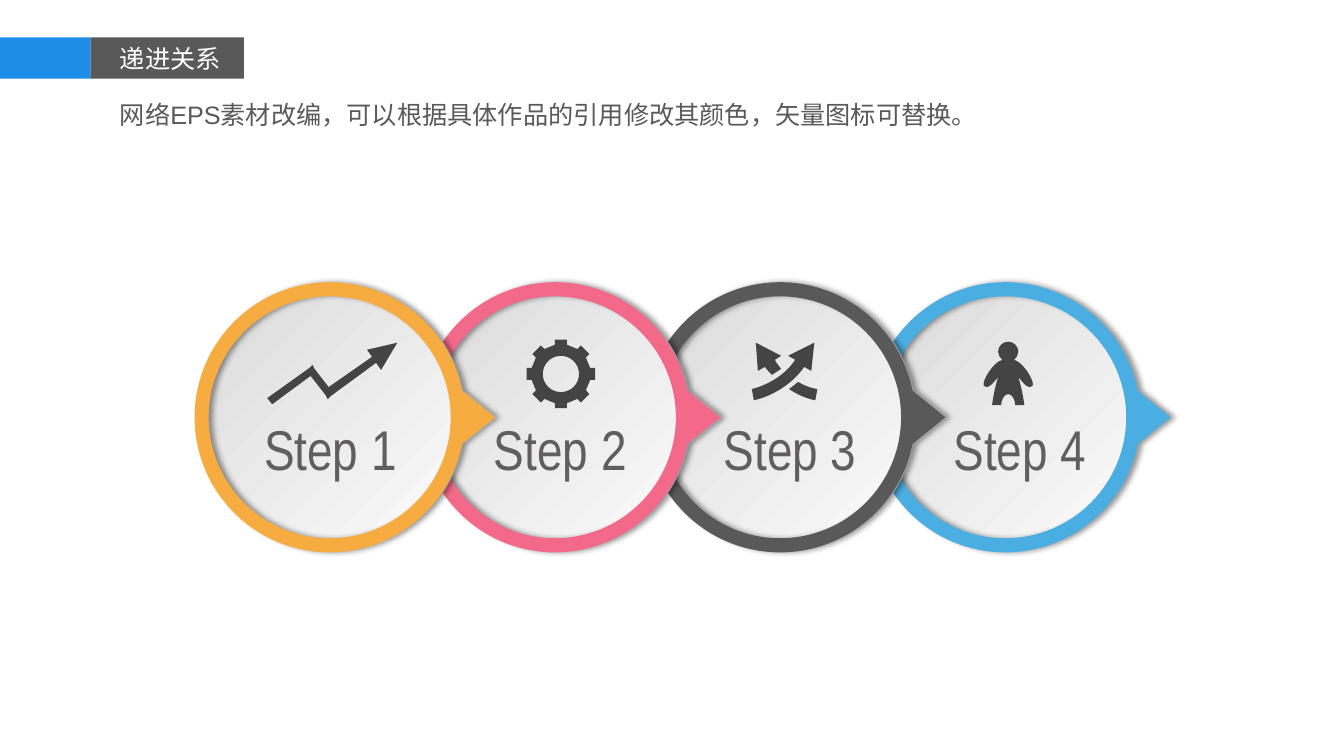
from math import cos, sin, tan, radians

from lxml import etree
from pptx import Presentation
from pptx.dml.color import RGBColor
from pptx.enum.shapes import MSO_SHAPE as Shape
from pptx.enum.text import MSO_ANCHOR as Anchor, MSO_AUTO_SIZE as Fit, PP_ALIGN as Align
from pptx.oxml.ns import qn
from pptx.util import Inches, Pt

WHITE = RGBColor(0xFF, 0xFF, 0xFF)
SILVER = RGBColor(0xD9, 0xD9, 0xDA)
BLUE = RGBColor(0x1D, 0x8D, 0xE5)
GREY = RGBColor(0x59, 0x59, 0x59)
LABEL = RGBColor(0x60, 0x5E, 0x5E)
DARK = RGBColor(0x44, 0x44, 0x44)
AMBER = RGBColor(0xF6, 0xAC, 0x40)
PINK = RGBColor(0xF3, 0x69, 0x8A)
SKY = RGBColor(0x4B, 0xAE, 0xE2)

TREND = [(129, 0), (99, 7), (104, 14), (61, 44), (47, 26), (45, 22), (42, 25), (0, 55),
         (5, 61), (43, 33), (58, 52), (60, 56), (63, 53), (108, 20), (113, 27)]
CROSS = [
    [(13, 24), (15, 27, 18, 30, 20, 32), (23, 30, 26, 28, 29, 26),
     (27, 23, 24, 20, 23, 17), (29, 13), (4, 0), (6, 28)],
    [(52, 24), (59, 28), (62, 0), (36, 13), (43, 17), (28, 40, 0, 46, 0, 46),
     (2, 57), (4, 57, 34, 50, 52, 24)],
    [(46, 39), (43, 41, 40, 44, 37, 46), (50, 55, 62, 57, 63, 57),
     (65, 46), (65, 46, 56, 45, 46, 39)],
]
HALF = [(0, 0), (5, 0, 10, 4, 10, 10), (10, 13, 8, 16, 6, 18), (16, 21, 27, 41, 24, 44),
        (20, 48, 15, 41, 10, 35), (13, 45, 15, 55, 16, 63), (7, 63), (7, 58, 4, 52, 0, 52)]


def pairs(move):
    """Split a flat move into its points."""
    return list(zip(move[::2], move[1::2]))


def arc(rad, start, end):
    """Return an arc about the origin as four cubic curves."""
    step = radians(end - start) / 4
    pull = 4 / 3 * tan(step / 4)
    moves = [(rad * cos(radians(start)), rad * sin(radians(start)))]
    for i in range(4):
        s = radians(start) + step * i
        e = s + step
        moves.append((rad * (cos(s) - pull * sin(s)), rad * (sin(s) + pull * cos(s)),
                      rad * (cos(e) + pull * sin(e)), rad * (sin(e) - pull * cos(e)),
                      rad * cos(e), rad * sin(e)))
    return moves


def shrink(moves):
    """Turn hundredths into inches."""
    return [tuple(n / 100 for n in move) for move in moves]


def gear():
    """Return the rim and the hole of an eight-toothed gear."""
    tooth = [(0.29, -0.06), (0.34, -0.06), (0.34, 0.06), (0.29, 0.06)]
    rim = [(x * cos(t) - y * sin(t), x * sin(t) + y * cos(t))
           for t in (radians(45 * i) for i in range(8)) for x, y in tooth]
    return [rim, arc(0.18, 360, 0)]


def person():
    """Return the outline of a figure mirrored about its middle."""
    back = []
    for last, move in reversed(list(zip(HALF, HALF[1:]))):
        spots = reversed(pairs(last[-2:] + move[:-2]))
        back.append(tuple(n for x, y in spots for n in (-x, y)))
    return [shrink(HALF + back)]


def bend(form, loops):
    """Join each three lines that stand for a cubic curve."""
    lines = iter(form.element.findall(".//" + qn("a:lnTo")))
    for move in (move for loop in loops for move in loop[1:]):
        group = [next(lines) for _ in pairs(move)]
        if len(group) == 3:
            curve = group[0].makeelement(qn("a:cubicBezTo"))
            group[0].addprevious(curve)
            for line in group:
                curve.append(line[0])
                line.getparent().remove(line)


def draw(slide, x, y, loops):
    """Draw closed loops of lines and curves relative to x and y."""
    spots = [[(Inches(x + a), Inches(y + b)) for move in loop for a, b in pairs(move)]
             for loop in loops]
    pen = slide.shapes.build_freeform(*spots[0][0], scale=1.0)
    for i, loop in enumerate(spots):
        if i:
            pen.move_to(*loop[0])
        pen.add_line_segments(loop[1:], close=False)
        pen.add_line_segments([], close=True)
    form = pen.convert_to_shape()
    form.shadow.inherit = False
    bend(form, loops)
    return form


def paint(form, color):
    """Fill a shape with one colour and no line."""
    form.fill.solid()
    form.fill.fore_color.rgb = color
    form.line.fill.background()


def cast(form):
    """Give a shape a soft shadow to its right."""
    glow = form.element.spPr.find(qn("a:effectLst"))
    drop = etree.SubElement(glow, qn("a:outerShdw"), blurRad=str(Pt(4)), dist=str(Pt(3)),
                            dir="0", algn="l", rotWithShape="0")
    tint = etree.SubElement(drop, qn("a:srgbClr"), val="000000")
    etree.SubElement(tint, qn("a:alpha"), val="40000")


def write(box, text, size, color, font="Arial"):
    """Set a left-aligned line of text that does not wrap."""
    frame = box.text_frame
    frame.text = text
    frame.word_wrap = False
    frame.auto_size = Fit.SHAPE_TO_FIT_TEXT
    frame.vertical_anchor = Anchor.TOP
    para = frame.paragraphs[0]
    para.alignment = Align.LEFT
    run = para.runs[0].font
    run.size, run.name, run.color.rgb = Pt(size), font, color


def header(slide, y):
    """Place the two bars, the title and the line below."""
    for x, w, color in ((0, 0.9, BLUE), (0.9, 1.52, GREY)):
        bar = slide.shapes.add_shape(Shape.RECTANGLE, Inches(x), Inches(y),
                                     Inches(w), Inches(0.41))
        bar.shadow.inherit = False
        paint(bar, color)
    title = slide.shapes.title
    title.left, title.top = Inches(1.09), Inches(y + 0.01)
    title.width, title.height = Inches(1.21), Inches(0.4)
    write(title, "递进关系", 18, WHITE)
    title.element.getparent().append(title.element)
    note = slide.shapes.add_textbox(Inches(1.09), Inches(y + 0.57), Inches(8.65), Inches(0.4))
    write(note, "网络EPS素材改编，可以根据具体作品的引用修改其颜色，矢量图标可替换。", 18, GREY)


def badge(slide, x, y, color):
    """Draw a pointed disc and its coloured ring about a centre."""
    edge = arc(1.34, 11.4, 348.6) + [(1.64, 0)]
    disc = draw(slide, x, y, [edge])
    disc.fill.gradient()
    disc.fill.gradient_angle = 315
    for stop, shade in zip(disc.fill.gradient_stops, (SILVER, WHITE)):
        stop.color.rgb = shade
    disc.line.color.rgb = WHITE
    disc.line.width = Pt(1.5)
    ring = draw(slide, x, y, [edge, arc(1.2, 360, 0)])
    paint(ring, color)
    cast(ring)


def steps(slide, x, y, gap):
    """Place the chain of badges with their icons and labels."""
    colors = (AMBER, PINK, GREY, SKY)
    for i in reversed(range(4)):
        badge(slide, x + gap * i, y, colors[i])
    icons = ((-0.62, -0.74, [shrink(TREND)]), (0.06, -0.43, gear()),
             (-0.28, -0.74, [shrink(part) for part in CROSS]), (0.03, -0.75, person()))
    for i, (dx, dy, loops) in enumerate(icons):
        paint(draw(slide, x + gap * i + dx, y + dy, loops), DARK)
        label = slide.shapes.add_textbox(Inches(x - 0.75 + 2.28 * i), Inches(y - 0.08),
                                         Inches(1.62), Inches(0.77))
        write(label, f"Step {i + 1}", 40, LABEL, "Arial Narrow")


def main():
    """Build and save the slide."""
    deck = Presentation()
    deck.slide_width, deck.slide_height = Inches(13.33), Inches(7.5)
    slide = deck.slides.add_slide(deck.slide_layouts[5])
    header(slide, 0.37)
    steps(slide, 3.27, 4.14, 6.7 / 3)
    deck.save("out.pptx")


if __name__ == "__main__":
    main()
